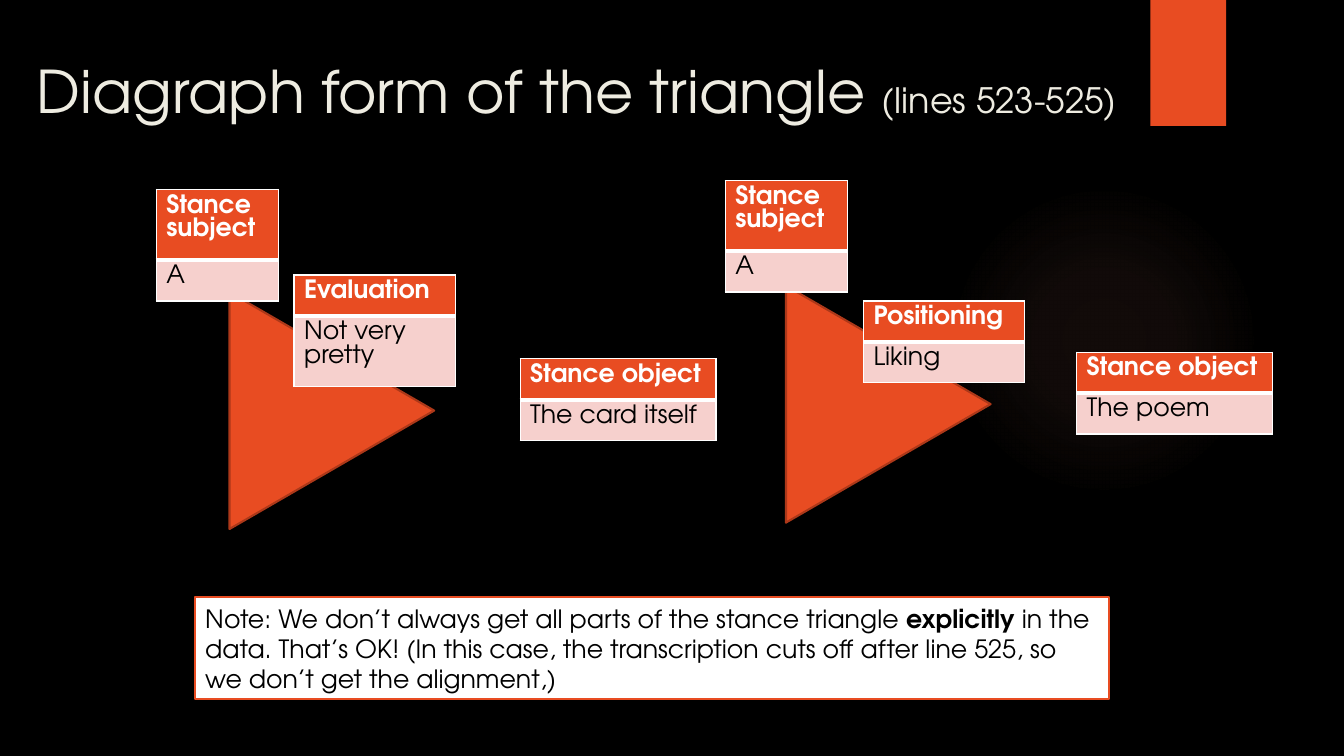
from lxml import etree
from pptx import Presentation
from pptx.dml.color import RGBColor
from pptx.enum.shapes import MSO_SHAPE
from pptx.enum.text import MSO_ANCHOR, PP_ALIGN
from pptx.oxml import parse_xml
from pptx.oxml.ns import qn
from pptx.util import Pt

OVAL, RECT, TRIANGLE = MSO_SHAPE.OVAL, MSO_SHAPE.RECTANGLE, MSO_SHAPE.ISOSCELES_TRIANGLE
TOP, MIDDLE, LEFT = MSO_ANCHOR.TOP, MSO_ANCHOR.MIDDLE, PP_ALIGN.LEFT
FONT = "TeX Gyre Adventor"
DRAWING_NS = "http://schemas.openxmlformats.org/drawingml/2006/main"
COLORS = {
    "black": "000000", "white": "FFFFFF", "cream": "EEECE1", "orange": "E84C22",
    "rust": "AC3819", "pink": "F6D0CD", "glow": "F1947A",
}

# Spans: text, size, bold
TITLE = [("Diagraph form of the triangle ", 42, False), ("(lines 523-525)", 25, False)]
NOTE = [
    ("Note: We don’t always get all parts of the stance triangle ", 18, False),
    ("explicitly", 18, True),
    (" in the data. That’s OK! (In this case, the transcription cuts off after line 525, "
     "so we don’t get the alignment,)", 18, False),
]
# Each stance triangle: its left and top, then labels (heading, value, left, top, width)
STANCES = [
    ((152.4, 220.2), [
        ("Stance object", "The card itself", 371.5, 256.3, 140),
        ("Stance subject", "A", 111.6, 135.4, 87.1),
        ("Evaluation", "Not very pretty", 210, 196.4, 115.2),
    ]),
    ((549.9, 215.6), [
        ("Stance object", "The poem", 769, 251.6, 140),
        ("Positioning", "Liking", 616.8, 215, 115.2),
        ("Stance subject", "A", 518, 129, 87.1),
    ]),
]
TRIANGLE_SIZE = (169.2, 146.2)
ROW_HEIGHT = 29.2
GLOW_STOPS = [(0, 7), (36, 6), (69, 0)]  # position and opacity, in percent


def color(name):
    return RGBColor.from_string(COLORS[name])


def add_spans(para, spans, ink):
    for text, size, bold in spans:
        span = para.add_run()
        span.text = text
        span.font.name = FONT
        span.font.size = Pt(size)
        span.font.bold = bold
        span.font.color.rgb = color(ink)


def add_shape(page, kind, box, fill, line=None):
    shape = page.shapes.add_shape(kind, *map(Pt, box))
    shape.shadow.inherit = False
    shape.fill.solid()
    shape.fill.fore_color.rgb = color(fill)
    if line:
        shape.line.color.rgb = color(line)
        shape.line.width = Pt(1.5)
    else:
        shape.line.fill.background()
    return shape


def add_glow(page):
    """Faint round light that fades out from its centre."""
    glow = add_shape(page, OVAL, (677.5, 131.8, 221.8, 221.8), "glow")
    stops = "".join(
        f'<a:gs pos="{place * 1000}"><a:srgbClr val="{COLORS["glow"]}">'
        f'<a:alpha val="{opacity * 1000}"/></a:srgbClr></a:gs>'
        for place, opacity in GLOW_STOPS)
    gradient = parse_xml(
        f'<a:gradFill xmlns:a="{DRAWING_NS}"><a:gsLst>{stops}</a:gsLst><a:path path="circle">'
        '<a:fillToRect l="50000" t="50000" r="50000" b="50000"/></a:path></a:gradFill>')
    properties = glow.element.spPr
    properties.replace(properties.find(qn("a:solidFill")), gradient)


def add_corner_tab(page):
    tab = add_shape(page, RECT, (821.8, 0, 54, 90), "orange")
    effects = tab.element.spPr.find(qn("a:effectLst"))
    effects.append(parse_xml(
        f'<a:outerShdw xmlns:a="{DRAWING_NS}" blurRad="{Pt(3)}" dist="{Pt(2)}" dir="5400000">'
        f'<a:srgbClr val="{COLORS["black"]}"><a:alpha val="45000"/></a:srgbClr></a:outerShdw>'))


def add_borders(cell, widths):
    """Draw white sides; widths maps L, R, T, B, in that order, to points."""
    properties = cell._tc.get_or_add_tcPr()
    for index, (side, width) in enumerate(widths.items()):
        line = etree.Element(qn(f"a:ln{side}"), w=str(Pt(width)))
        fill = etree.SubElement(line, qn("a:solidFill"))
        etree.SubElement(fill, qn("a:srgbClr"), val=COLORS["white"])
        properties.insert(index, line)


def add_label(page, heading, value, left, top, width):
    table = page.shapes.add_table(
        2, 1, Pt(left), Pt(top), Pt(width), Pt(2 * ROW_HEIGHT)).table
    table.horz_banding = False
    rows = [
        (heading, True, "white", "orange", {"L": 1, "R": 1, "T": 1, "B": 3}),
        (value, False, "black", "pink", {"L": 1, "R": 1, "T": 3, "B": 1}),
    ]
    for index, (text, bold, ink, fill, borders) in enumerate(rows):
        table.rows[index].height = Pt(ROW_HEIGHT)
        cell = table.cell(index, 0)
        cell.fill.solid()
        cell.fill.fore_color.rgb = color(fill)
        add_borders(cell, borders)
        add_spans(cell.text_frame.paragraphs[0], [(text, 18, bold)], ink)


def add_title(page):
    box = page.shapes.add_textbox(Pt(19.2), Pt(35.3), Pt(806.4), Pt(110.2))
    box.text_frame.word_wrap = True
    box.text_frame.vertical_anchor = TOP
    add_spans(box.text_frame.paragraphs[0], TITLE, "cream")


def add_note(page):
    note = add_shape(page, RECT, (139.5, 426.6, 653, 72.7), "white", "orange")
    note.text_frame.word_wrap = True
    note.text_frame.vertical_anchor = MIDDLE
    para = note.text_frame.paragraphs[0]
    para.alignment = LEFT
    add_spans(para, NOTE, "black")


def main():
    deck = Presentation()
    deck.slide_width, deck.slide_height = Pt(960), Pt(540)
    page = deck.slides.add_slide(deck.slide_layouts[6])
    page.background.fill.solid()
    page.background.fill.fore_color.rgb = color("black")

    add_glow(page)
    add_corner_tab(page)
    add_title(page)
    for corner, labels in STANCES:
        add_shape(page, TRIANGLE, corner + TRIANGLE_SIZE, "orange", "rust").rotation = 90
        for label in labels:
            add_label(page, *label)
    add_note(page)
    deck.save("out.pptx")


if __name__ == "__main__":
    main()
